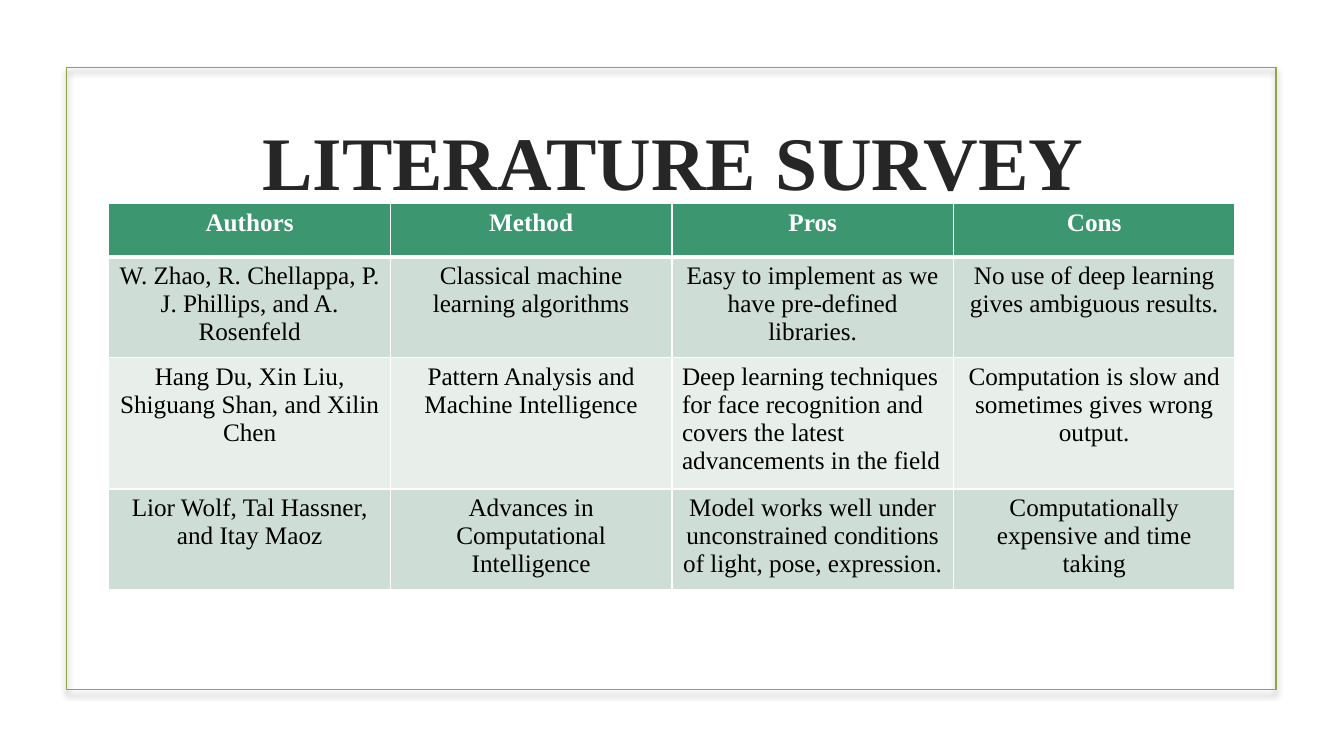
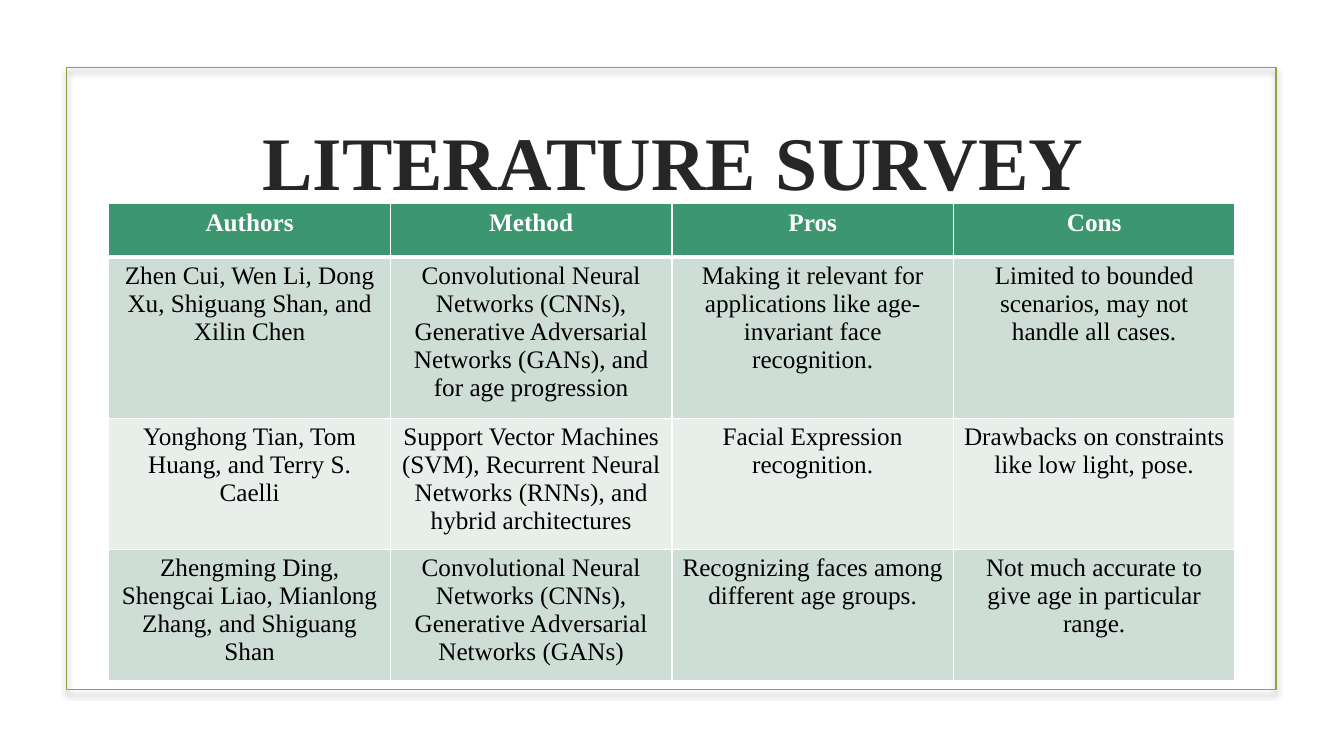
from dataclasses import dataclass

from lxml.etree import SubElement
from pptx import Presentation
from pptx.dml.color import RGBColor
from pptx.enum.shapes import MSO_SHAPE
from pptx.enum.text import MSO_ANCHOR, PP_ALIGN
from pptx.oxml import parse_xml
from pptx.oxml.ns import nsdecls, qn
from pptx.util import Inches, Pt

TITLE = "LITERATURE SURVEY"
HEADINGS = ("Authors", "Method", "Pros", "Cons")
SURVEYS = [
    {
        "rows": [
            ("W. Zhao, R. Chellappa, P. J. Phillips, and A. Rosenfeld",
             "Classical machine learning algorithms",
             "Easy to implement as we have pre-defined libraries.",
             "No use of deep learning gives ambiguous results."),
            ("Hang Du, Xin Liu, Shiguang Shan, and Xilin Chen",
             "Pattern Analysis and Machine Intelligence",
             "Deep learning techniques for face recognition and covers the latest advancements in the field",
             "Computation is slow and sometimes gives wrong output."),
            ("Lior Wolf, Tal Hassner, and Itay Maoz",
             "Advances in Computational Intelligence",
             "Model works well under unconstrained conditions of light, pose, expression.",
             "Computationally expensive and time taking"),
        ],
        "left_aligned": {(2, 2)},
    },
    {
        "rows": [
            ("Zhen Cui, Wen Li, Dong Xu, Shiguang Shan, and Xilin Chen",
             "Convolutional Neural Networks (CNNs), Generative Adversarial Networks (GANs), "
             "and for age progression",
             "Making it relevant for applications like age-invariant face recognition.",
             "Limited to bounded scenarios, may not handle all cases."),
            ("Yonghong Tian, Tom Huang, and Terry S. Caelli",
             "Support Vector Machines (SVM), Recurrent Neural Networks (RNNs), and hybrid architectures",
             "Facial Expression recognition.",
             "Drawbacks on constraints like low light, pose."),
            ("Zhengming Ding, Shengcai Liao, Mianlong Zhang, and Shiguang Shan",
             "Convolutional Neural Networks (CNNs), Generative Adversarial Networks (GANs)",
             "Recognizing faces among different age groups.",
             "Not much accurate to give age in particular range."),
        ],
        "left_aligned": set(),
    },
]


@dataclass(frozen=True)
class Theme:
    font: str = "Times New Roman"
    title_size: int = 54
    cell_size: int = 18
    title: str = "262626"
    text: str = "000000"
    white: str = "FFFFFF"
    frame: str = "8EA544"
    header: str = "3C9770"
    bands: tuple = ("CEDDD5", "E8EFEB")
    rule: int = 1
    header_rule: int = 3


THEME = Theme()
HEADER_HEIGHT, ROW_HEIGHT = 0.53, 0.9
TABLE_LEFT, TABLE_TOP, TABLE_WIDTH = 1.08, 2.02, 11.17


def write(frame, text, *, size, color, bold=False, align=PP_ALIGN.CENTER):
    para = frame.paragraphs[0]
    para.alignment = align
    span = para.add_run()
    span.text = text
    span.font.name = THEME.font
    span.font.size = Pt(size)
    span.font.bold = bold
    span.font.color.rgb = RGBColor.from_string(color)


def add_frame(page):
    box = page.shapes.add_shape(
        MSO_SHAPE.RECTANGLE, Inches(0.66), Inches(0.67), Inches(12), Inches(6.17))
    box.fill.background()
    box.line.color.rgb = RGBColor.from_string(THEME.frame)
    box.line.width = Pt(1.25)
    box.shadow.inherit = False
    effects = box.element.spPr.find(qn("a:effectLst"))
    effects.append(parse_xml(
        f'<a:outerShdw {nsdecls("a")} blurRad="{Pt(4)}" dist="{Pt(3)}" dir="5400000" '
        'algn="t" rotWithShape="0"><a:srgbClr val="000000"><a:alpha val="35000"/>'
        '</a:srgbClr></a:outerShdw>'))


def add_title(page):
    box = page.shapes.add_textbox(Inches(1.43), Inches(1.07), Inches(10.49), Inches(1.04))
    box.text_frame.word_wrap = True
    box.text_frame.vertical_anchor = MSO_ANCHOR.MIDDLE
    write(box.text_frame, TITLE, size=THEME.title_size, color=THEME.title, bold=True)


def style_cell(cell, row):
    widths = {"lnL": THEME.rule, "lnR": THEME.rule,
              "lnT": THEME.header_rule if row == 1 else THEME.rule,
              "lnB": THEME.header_rule if row == 0 else THEME.rule}
    properties = cell._tc.get_or_add_tcPr()
    for side, width in widths.items():
        line = SubElement(properties, qn(f"a:{side}"), w=str(Pt(width)))
        paint = SubElement(line, qn("a:solidFill"))
        SubElement(paint, qn("a:srgbClr"), val=THEME.white)
    cell.fill.solid()
    color = THEME.bands[(row - 1) % 2] if row else THEME.header
    cell.fill.fore_color.rgb = RGBColor.from_string(color)


def add_survey(page, survey):
    rows = [HEADINGS, *survey["rows"]]
    heights = [HEADER_HEIGHT] + [ROW_HEIGHT] * len(survey["rows"])
    table = page.shapes.add_table(
        len(rows), len(HEADINGS), Inches(TABLE_LEFT), Inches(TABLE_TOP),
        Inches(TABLE_WIDTH), Inches(sum(heights))).table
    for column in table.columns:
        column.width = Inches(TABLE_WIDTH / len(HEADINGS))
    for row, (texts, height) in enumerate(zip(rows, heights)):
        table.rows[row].height = Inches(height)
        for column, text in enumerate(texts):
            cell = table.cell(row, column)
            style_cell(cell, row)
            left = (row, column) in survey["left_aligned"]
            write(cell.text_frame, text, size=THEME.cell_size, bold=row == 0,
                  color=THEME.text if row else THEME.white,
                  align=PP_ALIGN.LEFT if left else PP_ALIGN.CENTER)


def main():
    deck = Presentation()
    deck.slide_width, deck.slide_height = Inches(13.33), Inches(7.5)
    for survey in SURVEYS:
        page = deck.slides.add_slide(deck.slide_layouts[6])
        add_frame(page)
        add_title(page)
        add_survey(page, survey)
    deck.save("out.pptx")


if __name__ == "__main__":
    main()
